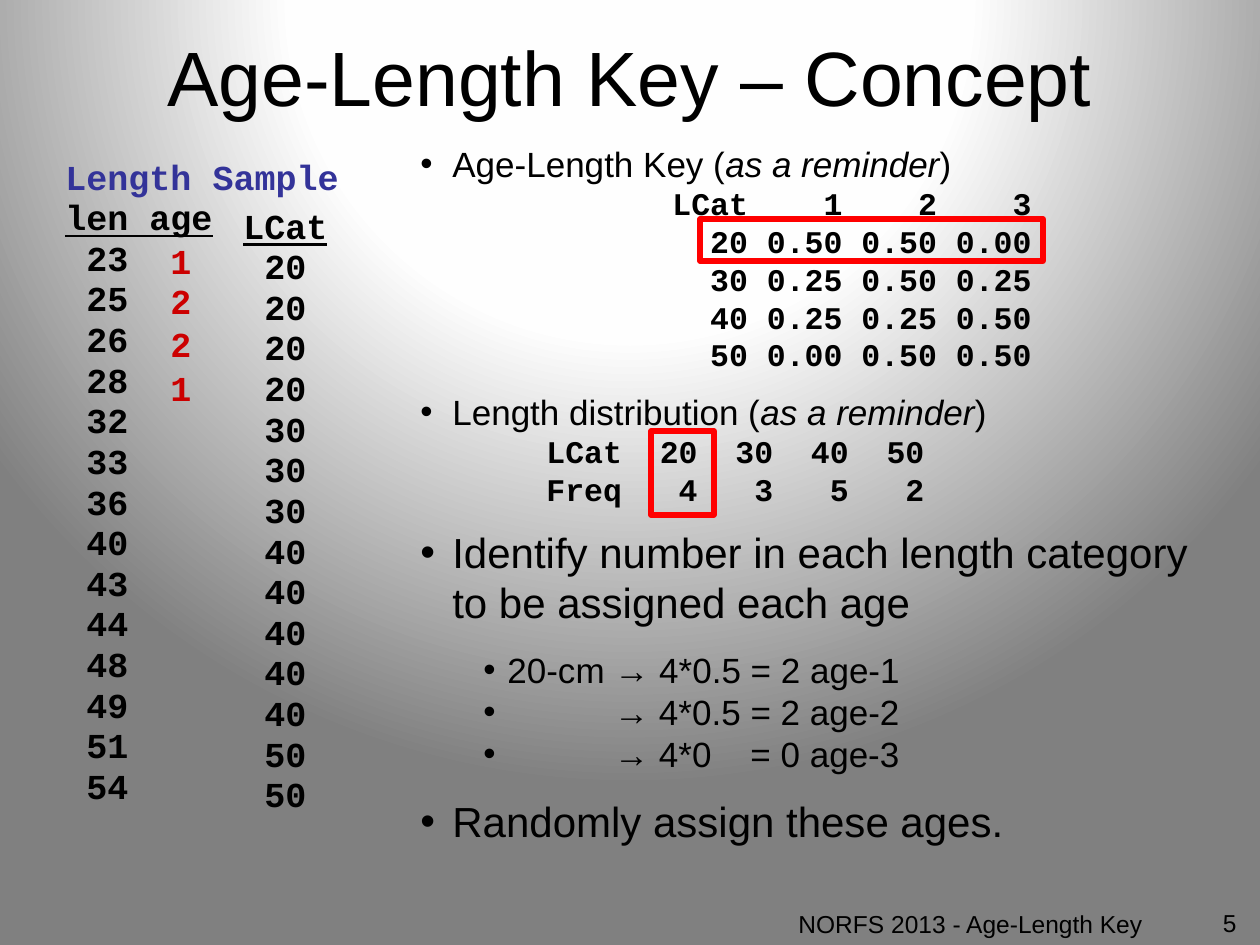
"""Build the Age-Length Key concept slide."""
from dataclasses import dataclass

from lxml import etree
from pptx import Presentation
from pptx.dml.color import RGBColor
from pptx.enum.shapes import MSO_SHAPE
from pptx.enum.text import MSO_ANCHOR, MSO_AUTO_SIZE, PP_ALIGN
from pptx.oxml import parse_xml
from pptx.oxml.ns import nsdecls, qn
from pptx.util import Emu, Pt

LEFT, CENTER, RIGHT = PP_ALIGN.LEFT, PP_ALIGN.CENTER, PP_ALIGN.RIGHT
RECT = MSO_SHAPE.RECTANGLE
MIDDLE = MSO_ANCHOR.MIDDLE
NO_FIT = MSO_AUTO_SIZE.NONE

BLACK = RGBColor(0x00, 0x00, 0x00)
NAVY = RGBColor(0x33, 0x33, 0x99)
DARK_RED = RGBColor(0xCC, 0x00, 0x00)
RED = RGBColor(0xFF, 0x00, 0x00)

SANS, MONO = "Arial", "Courier New"
SCALE = 914400 / 126

BACKGROUND = f"""<p:bg {nsdecls('p', 'a')}><p:bgPr>
<a:gradFill rotWithShape="0"><a:gsLst>
<a:gs pos="40000"><a:srgbClr val="FFFFFF"/></a:gs>
<a:gs pos="43000"><a:srgbClr val="FEFEFE"/></a:gs>
<a:gs pos="100000"><a:srgbClr val="808080"/></a:gs>
</a:gsLst><a:path path="circle">
<a:fillToRect l="50000" t="-80000" r="50000" b="180000"/>
</a:path></a:gradFill><a:effectLst/></p:bgPr></p:bg>"""


@dataclass(frozen=True)
class Box:
    left: int
    top: int
    width: int
    height: int


@dataclass(frozen=True)
class Line:
    """Describe a paragraph; text between bars is italic."""
    text: str
    size: int = 20
    font: str = SANS
    color: RGBColor = BLACK
    bold: bool = False
    underline: bool = False
    align: PP_ALIGN = LEFT
    margin: int = 0
    hang: int = 0
    bullet: bool = False
    gap: float = 0
    tight: bool = False


def px(n: int) -> Emu:
    """Turn pixels into EMU."""
    return Emu(round(n * SCALE))


def place(sp, box: Box) -> None:
    """Move and size a shape."""
    sp.left, sp.top = px(box.left), px(box.top)
    sp.width, sp.height = px(box.width), px(box.height)


def write_line(p, line: Line) -> None:
    """Fill and format one paragraph."""
    p.alignment = line.align
    p.space_before = Pt(line.gap)
    pPr = p._p.get_or_add_pPr()
    pPr.set("marL", str(px(line.margin)))
    pPr.set("indent", str(-px(line.hang)))
    if line.tight:
        p.line_spacing = 0.8
        before = pPr.find(qn("a:spcBef"))
        before.remove(before[0])
        etree.SubElement(before, qn("a:spcPct")).set("val", "20000")
    if line.bullet:
        etree.SubElement(pPr, qn("a:buFont")).set("typeface", SANS)
        etree.SubElement(pPr, qn("a:buChar")).set("char", "•")
    for i, part in enumerate(line.text.split("|")):
        r = p.add_run()
        r.text = part
        r.font.size, r.font.name = Pt(line.size), line.font
        r.font.bold, r.font.italic = line.bold, i % 2 == 1
        r.font.underline = line.underline
        r.font.color.rgb = line.color


def add_text(slide, box: Box, lines: list[Line], wrap: bool = True) -> None:
    """Add a text box with its paragraphs."""
    tf = slide.shapes.add_textbox(0, 0, 0, 0).text_frame
    place(slide.shapes[-1], box)
    tf.word_wrap = wrap
    for i, line in enumerate(lines):
        write_line(tf.add_paragraph() if i else tf.paragraphs[0], line)


def add_frame(slide, box: Box) -> None:
    """Add a red outline around highlighted values."""
    sp = slide.shapes.add_shape(RECT, 0, 0, 0, 0)
    place(sp, box)
    sp.shadow.inherit = False
    sp.fill.background()
    sp.line.color.rgb = RED
    sp.line.width = Pt(3)


def column(text: str, **style) -> Line:
    """Describe a line of a data column."""
    return Line(text, font=MONO, bold=True, margin=48, hang=48, tight=True, **style)


def code(text: str, margin: int) -> Line:
    """Describe a row of printed output."""
    return Line(text, 18, MONO, bold=True, margin=margin)


def point(text: str, size: int, gap: float = 0) -> Line:
    """Describe a main bullet."""
    return Line(text, size, margin=32, hang=32, bullet=True, gap=gap)


def step(text: str, gap: float = 0) -> Line:
    """Describe a calculation bullet."""
    return Line(text, margin=87, hang=24, bullet=True, gap=gap)


LENGTHS = (23, 25, 26, 28, 32, 33, 36, 40, 43, 44, 48, 49, 51, 54)
AGES = {233: 1, 273: 2, 316: 2, 360: 1}
KEY_ROWS = (
    "LCat    1    2    3",
    "  20 0.50 0.50 0.00",
    "  30 0.25 0.50 0.25",
    "  40 0.25 0.25 0.50",
    "  50 0.00 0.50 0.50",
)
BODY = [
    point("Age-Length Key (|as a reminder|)", 20),
    *(code(row, 252) for row in KEY_ROWS),
    point("Length distribution (|as a reminder|)", 20, 9.6),
    code("LCat  20  30  40  50", 126),
    code("Freq   4   3   5   2", 126),
    point("Identify number in each length category to be assigned each age", 24, 10.8),
    step("20-cm → 4*0.5 = 2 age-1", 12),
    step("           → 4*0.5 = 2 age-2"),
    step("           → 4*0    = 0 age-3"),
    point("Randomly assign these ages.", 24, 12),
]

prs = Presentation()
prs.slide_width, prs.slide_height = px(1260), px(945)
slide = prs.slides.add_slide(prs.slide_layouts[5])
slide._element.cSld.insert(0, parse_xml(BACKGROUND))

title = slide.shapes.title
place(title, Box(9, 16, 1242, 120))
title.text_frame.auto_size = NO_FIT
title.text_frame.vertical_anchor = MIDDLE
write_line(title.text_frame.paragraphs[0],
           Line("Age-Length Key – Concept", 44, align=CENTER))

add_text(slide, Box(53, 157, 336, 693), [
    column("Length Sample", color=NAVY),
    column("len age", underline=True),
    *(column(f" {length}") for length in LENGTHS),
])
add_text(slide, Box(408, 136, 820, 723), BODY)
add_text(slide, Box(231, 206, 116, 644), [
    column("LCat", underline=True),
    *(column(f" {length // 10 * 10}") for length in LENGTHS),
])
for top, age in AGES.items():
    add_text(slide, Box(158, top, 47, 54),
             [Line(str(age), font=MONO, color=DARK_RED, bold=True)], wrap=False)

add_frame(slide, Box(700, 219, 343, 42))
add_frame(slide, Box(651, 431, 63, 84))

add_text(slide, Box(756, 903, 399, 32),
         [Line("NORFS 2013 - Age-Length Key", 14, align=RIGHT)])
add_text(slide, Box(1165, 902, 84, 43), [Line("5", 14, align=RIGHT)])

prs.save("out.pptx")
